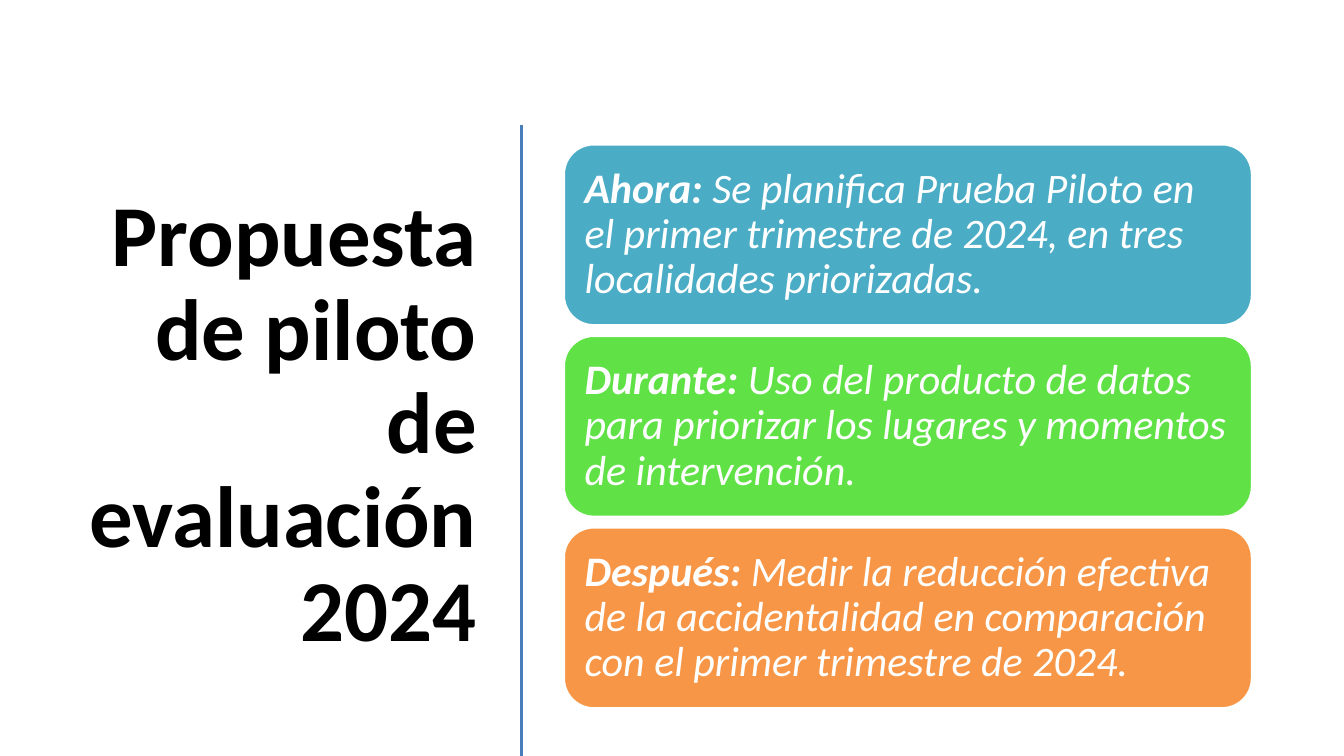
from pptx import Presentation
from pptx.dml.color import RGBColor
from pptx.enum.shapes import MSO_CONNECTOR, MSO_SHAPE
from pptx.enum.text import MSO_ANCHOR, PP_ALIGN
from pptx.oxml.ns import qn
from pptx.util import Inches, Pt
from lxml import etree

BLACK = RGBColor(0x00, 0x00, 0x00)
WHITE = RGBColor(0xFF, 0xFF, 0xFF)
BLUE = RGBColor(0x4A, 0x7E, 0xBB)
TEAL = RGBColor(0x4B, 0xAC, 0xC6)
GREEN = RGBColor(0x60, 0xE1, 0x46)
ORANGE = RGBColor(0xF7, 0x96, 0x46)

HEADING = "Propuesta de piloto de evaluación 2024"
STAGES = [
    ("Ahora: ", "Se planifica Prueba Piloto en el primer trimestre de 2024, "
     "en tres localidades priorizadas.", TEAL),
    ("Durante: ", "Uso del producto de datos para priorizar los lugares y "
     "momentos de intervención.", GREEN),
    ("Después: ", "Medir la reducción efectiva de la accidentalidad en "
     "comparación con el primer trimestre de 2024.", ORANGE),
]

SLIDE_W, SLIDE_H = 13.33, 7.5
HEADING_BOX = (0.52, 1.17, 4.31, 6.11)
DIVIDER_X, DIVIDER_TOP = 5.17, 1.24
STAGE_LEFT, STAGE_TOP, STAGE_W, STAGE_H = 5.59, 1.43, 6.83, 1.8
STAGE_PITCH = 1.9


def write(frame, runs, size, color, italic=False, align=PP_ALIGN.LEFT, inset=0.1):
    """Fill a text frame with one paragraph of (text, bold) runs."""
    frame.word_wrap = True
    frame.vertical_anchor = MSO_ANCHOR.MIDDLE
    frame.margin_left = frame.margin_right = Inches(inset)
    frame.margin_top = frame.margin_bottom = Inches(inset)
    paragraph = frame.paragraphs[0]
    paragraph.alignment = align
    paragraph.line_spacing = 0.9
    for text, bold in runs:
        run = paragraph.add_run()
        run.text = text
        run.font.name = "Calibri"
        run.font.size = Pt(size)
        run.font.color.rgb = color
        run.font.bold = bold
        run.font.italic = italic


presentation = Presentation()
presentation.slide_width = Inches(SLIDE_W)
presentation.slide_height = Inches(SLIDE_H)
slide = presentation.slides.add_slide(presentation.slide_layouts[6])

heading = slide.shapes.add_textbox(*map(Inches, HEADING_BOX))
write(heading.text_frame, [(HEADING, True)], 62, BLACK, align=PP_ALIGN.RIGHT)

divider = slide.shapes.add_connector(
    MSO_CONNECTOR.STRAIGHT,
    *map(Inches, (DIVIDER_X, DIVIDER_TOP, DIVIDER_X, SLIDE_H)))
divider.line.color.rgb = BLUE
divider.line.width = Pt(2)
etree.SubElement(divider._element.spPr, qn("a:effectLst"))

for row, (moment, plan, color) in enumerate(STAGES):
    top = STAGE_TOP + row * STAGE_PITCH
    stage = slide.shapes.add_shape(
        MSO_SHAPE.ROUNDED_RECTANGLE,
        *map(Inches, (STAGE_LEFT, top, STAGE_W, STAGE_H)))
    stage.shadow.inherit = False
    stage.fill.solid()
    stage.fill.fore_color.rgb = color
    stage.line.color.rgb = WHITE
    stage.line.width = Pt(2)
    write(stage.text_frame, [(moment, True), (plan, False)], 30, WHITE,
          italic=True, inset=0.12)

presentation.save("out.pptx")
